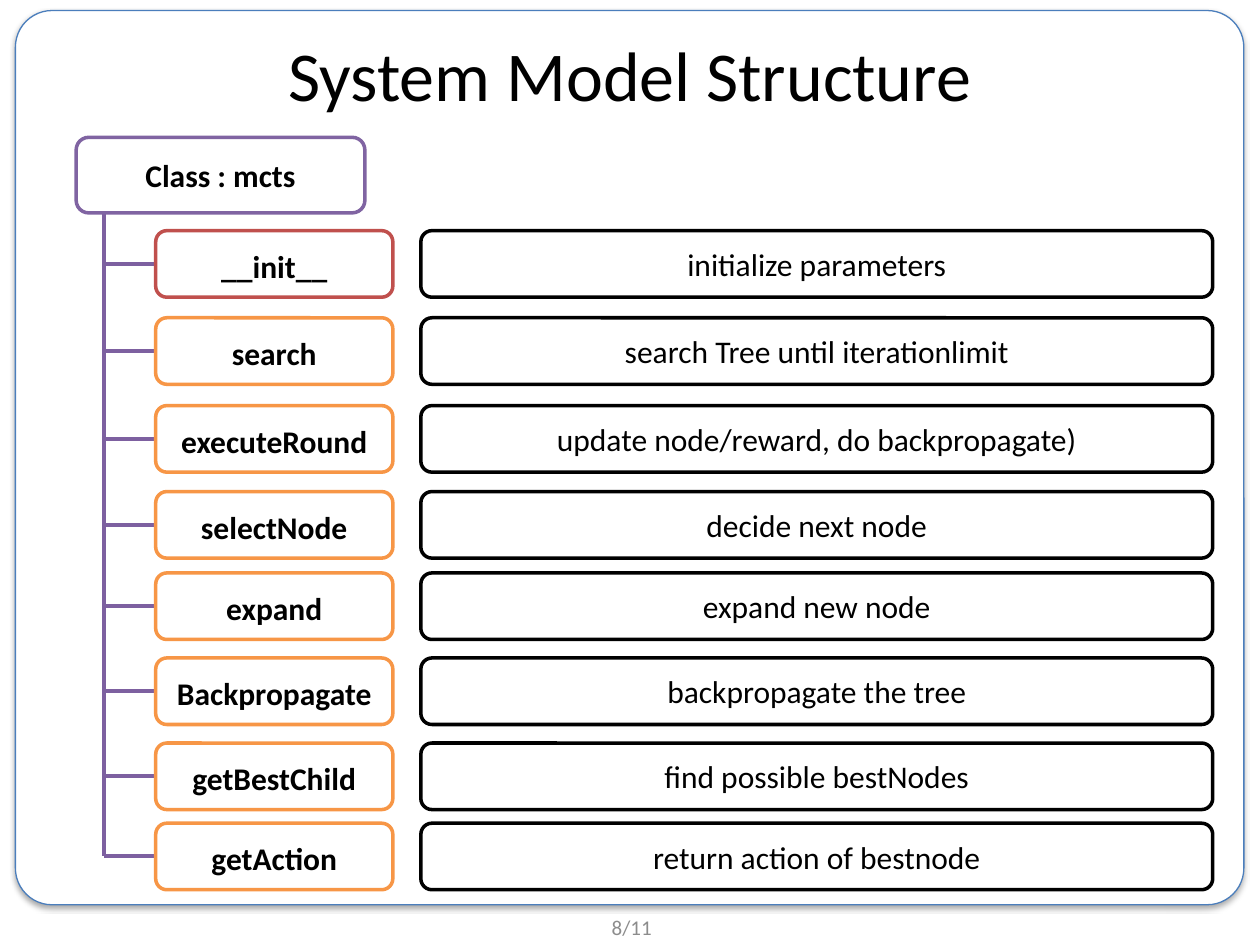
import pptx
import pptx.util
import pptx.dml.color
import pptx.enum.shapes
import pptx.enum.text
import pptx.oxml
import pptx.oxml.ns
from lxml import etree

Pt = pptx.util.Pt
Shape = pptx.enum.shapes.MSO_SHAPE
FONT = "Calibri"
BLACK, WHITE, GREY = "000000", "FFFFFF", "8C8C8C"
PURPLE, BRANCH, RED, ORANGE = "8064A2", "7D60A0", "C0504D", "F79646"

# Content: method, description, top of row, outline colour
TITLE = "System Model Structure"
CLASS_NAME = "Class : mcts"
PAGE_NUMBER = "8/11"
METHODS = [
    ("__init__", "initialize parameters", 131.8, RED),
    ("search", "search Tree until iterationlimit", 181.6, ORANGE),
    ("executeRound", "update node/reward, do backpropagate)", 231.8, ORANGE),
    ("selectNode", "decide next node", 280.9, ORANGE),
    ("expand", "expand new node", 327.4, ORANGE),
    ("Backpropagate", "backpropagate the tree", 376, ORANGE),
    ("getBestChild", "find possible bestNodes", 424.6, ORANGE),
    ("getAction", "return action of bestnode", 470.4, ORANGE),
]

# Layout
ROW_HEIGHT = 38
METHOD_LEFT, METHOD_WIDTH = 89, 135.5
NOTE_LEFT, NOTE_WIDTH = 240.5, 452.5
TRUNK_X = 59.5
CLASS_BOX = (43.5, 78.5, 165, 43.2)


def color(value):
    return pptx.dml.color.RGBColor.from_string(value)


def add_shadow(properties, blur, distance, angle, opacity):
    effects = properties.find(pptx.oxml.ns.qn("a:effectLst"))
    if effects is None:
        effects = etree.SubElement(properties, pptx.oxml.ns.qn("a:effectLst"))
    effects.append(pptx.oxml.parse_xml(
        f'<a:outerShdw {pptx.oxml.ns.nsdecls("a")} blurRad="{Pt(blur)}" '
        f'dist="{Pt(distance)}" dir="{angle * 60000}" algn="tl" rotWithShape="0">'
        f'<a:srgbClr val="000000"><a:alpha val="{opacity * 1000}"/></a:srgbClr>'
        '</a:outerShdw>'))


def write(box, text, size, ink=BLACK, bold=False, drop=0):
    frame = box.text_frame
    frame.word_wrap = True
    frame.margin_left = frame.margin_right = frame.margin_bottom = 0
    frame.margin_top = Pt(drop)
    frame.vertical_anchor = pptx.enum.text.MSO_ANCHOR.MIDDLE
    para = frame.paragraphs[0]
    para.alignment = pptx.enum.text.PP_ALIGN.CENTER
    span = para.add_run()
    span.text = text
    font = para.font
    font.name, font.size, font.bold = FONT, Pt(size), bold
    font.color.rgb = color(ink)
    return span


def add_text(page, area, text, size, ink=BLACK):
    return write(page.shapes.add_textbox(*map(Pt, area)), text, size, ink)


def add_box(page, area, outline, weight=2):
    box = page.shapes.add_shape(Shape.ROUNDED_RECTANGLE, *map(Pt, area))
    box.shadow.inherit = False
    box.fill.solid()
    box.fill.fore_color.rgb = color(WHITE)
    box.line.color.rgb = color(outline)
    box.line.width = Pt(weight)
    return box


def add_line(page, x1, y1, x2, y2):
    line = page.shapes.add_connector(
        pptx.enum.shapes.MSO_CONNECTOR.STRAIGHT, *map(Pt, (x1, y1, x2, y2)))
    line.line.color.rgb = color(BRANCH)
    line.line.width = Pt(2.25)
    properties = line._element.spPr
    etree.SubElement(properties, pptx.oxml.ns.qn("a:effectLst"))


deck = pptx.Presentation()
deck.slide_width, deck.slide_height = Pt(720), Pt(540)
page = deck.slides.add_slide(deck.slide_layouts[6])

# Frame, page number and title
frame_box = add_box(page, (8.8, 6, 702, 511), "4B7EBC", 0.75)
frame_box.adjustments[0] = 0.041
add_shadow(frame_box._element.spPr, 3.1, 1.8, 90, 35)
add_text(page, (277, 519, 168, 21), PAGE_NUMBER, 12, GREY)
title = add_text(page, (9.4, 3, 701, 77.8), TITLE, 40)
add_shadow(title.font._element, 3, 3, 45, 43)

# Tree trunk and branches
middles = [top + ROW_HEIGHT / 2 for _, _, top, _ in METHODS]
for middle in middles:
    add_line(page, TRUNK_X, middle, METHOD_LEFT, middle)
add_line(page, TRUNK_X, CLASS_BOX[1] + CLASS_BOX[3], TRUNK_X, middles[-1])

# Class and its methods
write(add_box(page, CLASS_BOX, PURPLE), CLASS_NAME, 18, bold=True)
for name, note, top, outline in METHODS:
    method = add_box(page, (METHOD_LEFT, top, METHOD_WIDTH, ROW_HEIGHT), outline)
    write(method, name, 18, bold=True, drop=2)
    write(add_box(page, (NOTE_LEFT, top, NOTE_WIDTH, ROW_HEIGHT), BLACK), note, 18)

deck.save("out.pptx")
